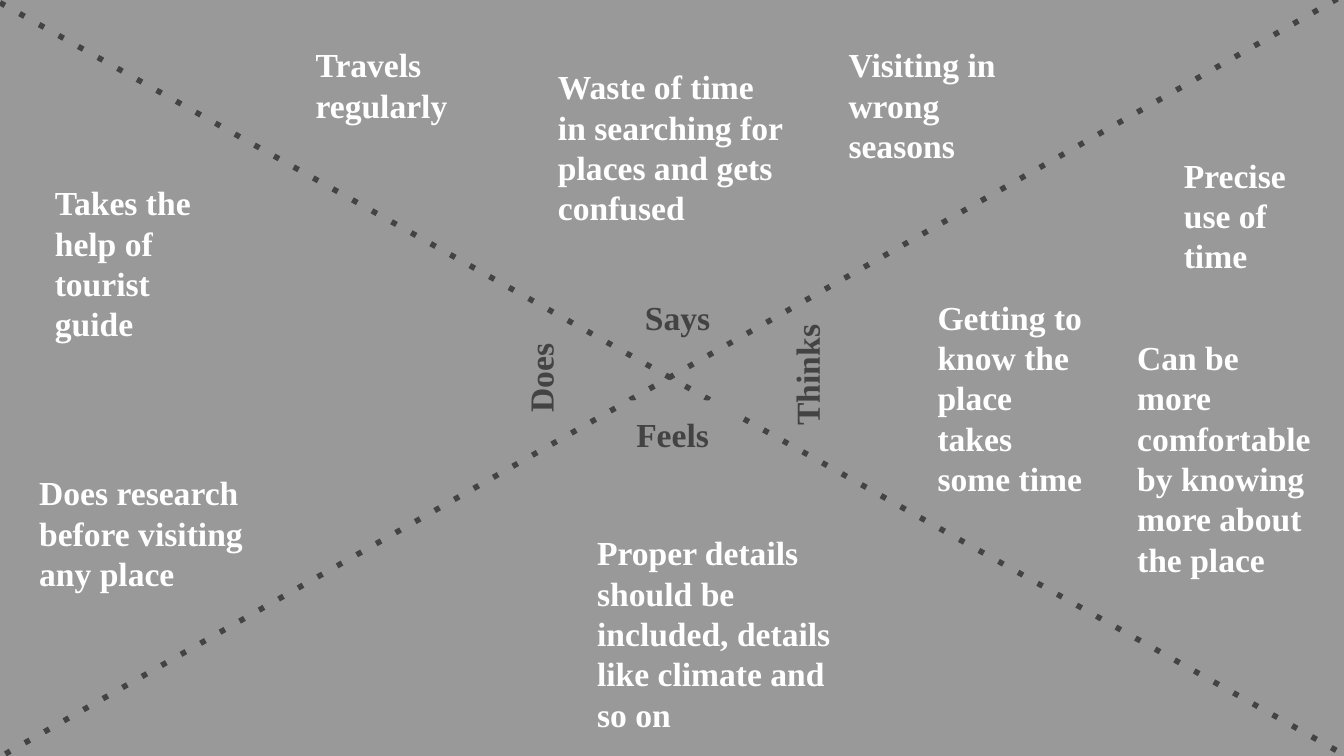
from typing import NamedTuple

from lxml import etree
from pptx import Presentation
from pptx import util as u
from pptx.dml.color import RGBColor
from pptx.enum import dml, shapes, text
from pptx.oxml import ns

GRAY = RGBColor(0x99, 0x99, 0x99)
DARK = RGBColor(0x43, 0x43, 0x43)
WHITE = RGBColor(0xFF, 0xFF, 0xFF)
FONT = "Times New Roman"
COLS, ROWS = 100, 56.25
CELL = u.Inches(0.1)


class Box(NamedTuple):
    col: float
    row: float
    wide: float
    high: float


class Note(NamedTuple):
    words: str
    box: Box


class Label(NamedTuple):
    words: str
    box: Box
    turn: int = 0
    solid: bool = False


class Line(NamedTuple):
    col: float
    row: float
    end_col: float
    end_row: float


LINES = [
    Line(0, 0.2, 99.9, 56.1),
    Line(0.4, 56.1, 99.7, -0.2),
]

NOTES = [
    Note("Travels regularly", Box(22.5, 2.3, 18.9, 8.2)),
    Note("Waste of time in searching for places and gets confused",
         Box(40.53, 3.93, 18.9, 14.1)),
    Note("Does research before visiting any place",
         Box(1.93, 34.14, 18.9, 11.1)),
    Note("Takes the help of tourist guide", Box(3.1, 12.57, 14.3, 14.1)),
    Note("Proper details should be included, details like climate and so on",
         Box(43.45, 38.6, 19.6, 17.2)),
    Note("Precise use of time", Box(87.1, 10.5, 12.8, 11.1)),
    Note("Can be more comfortable by knowing more about the place",
         Box(83.63, 24.07, 15.4, 20.2)),
    Note("Getting to know the place takes some time",
         Box(68.77, 21.07, 12.8, 17.2)),
    Note("Visiting in wrong seasons", Box(62.15, 2.3, 16.2, 11.1)),
]

LABELS = [
    Label("Does", Box(36.8, 25.1, 7.5, 5.7), turn=270),
    Label("Says", Box(47, 21.1, 7, 5)),
    Label("Thinks", Box(54.5, 24.64, 11, 5), turn=270),
    Label("Feels", Box(46.36, 29.8, 8.2, 5), solid=True),
]


def size(cells: float) -> u.Emu:
    return u.Emu(round(cells * CELL))


def draw_line(slide, line: Line) -> None:
    link = slide.shapes.add_connector(
        shapes.MSO_CONNECTOR.STRAIGHT, *map(size, line))
    link.line.color.rgb = DARK
    link.line.width = u.Pt(3)
    link.line.dash_style = dml.MSO_LINE.SQUARE_DOT
    dash = link._element.spPr.find(".//" + ns.qn("a:prstDash"))
    dash.set("val", "dot")
    etree.SubElement(link._element.spPr, ns.qn("a:effectLst"))


def write(shape, words: str, color: RGBColor) -> None:
    frame = shape.text_frame
    frame.word_wrap = True
    frame.vertical_anchor = text.MSO_ANCHOR.TOP
    frame.margin_left = frame.margin_right = CELL
    frame.margin_top = frame.margin_bottom = CELL
    frame.text = words
    para = frame.paragraphs[0]
    para.alignment = text.PP_ALIGN.LEFT
    font = para.runs[0].font
    font.name, font.size, font.bold = FONT, u.Pt(18), True
    font.color.rgb = color


def draw_note(slide, note: Note) -> None:
    shape = slide.shapes.add_textbox(*map(size, note.box))
    write(shape, note.words, WHITE)


def draw_label(slide, label: Label) -> None:
    place = map(size, label.box)
    if label.solid:
        shape = slide.shapes.add_shape(shapes.MSO_SHAPE.RECTANGLE, *place)
        shape.shadow.inherit = False
        shape.fill.solid()
        shape.fill.fore_color.rgb = GRAY
        shape.line.fill.background()
    else:
        shape = slide.shapes.add_textbox(*place)
    shape.rotation = label.turn
    write(shape, label.words, DARK)


def main() -> None:
    deck = Presentation()
    deck.slide_width, deck.slide_height = size(COLS), size(ROWS)
    slide = deck.slides.add_slide(deck.slide_layouts[6])
    fill = slide.background.fill
    fill.solid()
    fill.fore_color.rgb = GRAY
    for line in LINES:
        draw_line(slide, line)
    for note in NOTES:
        draw_note(slide, note)
    for label in LABELS:
        draw_label(slide, label)
    deck.save("out.pptx")


if __name__ == "__main__":
    main()
